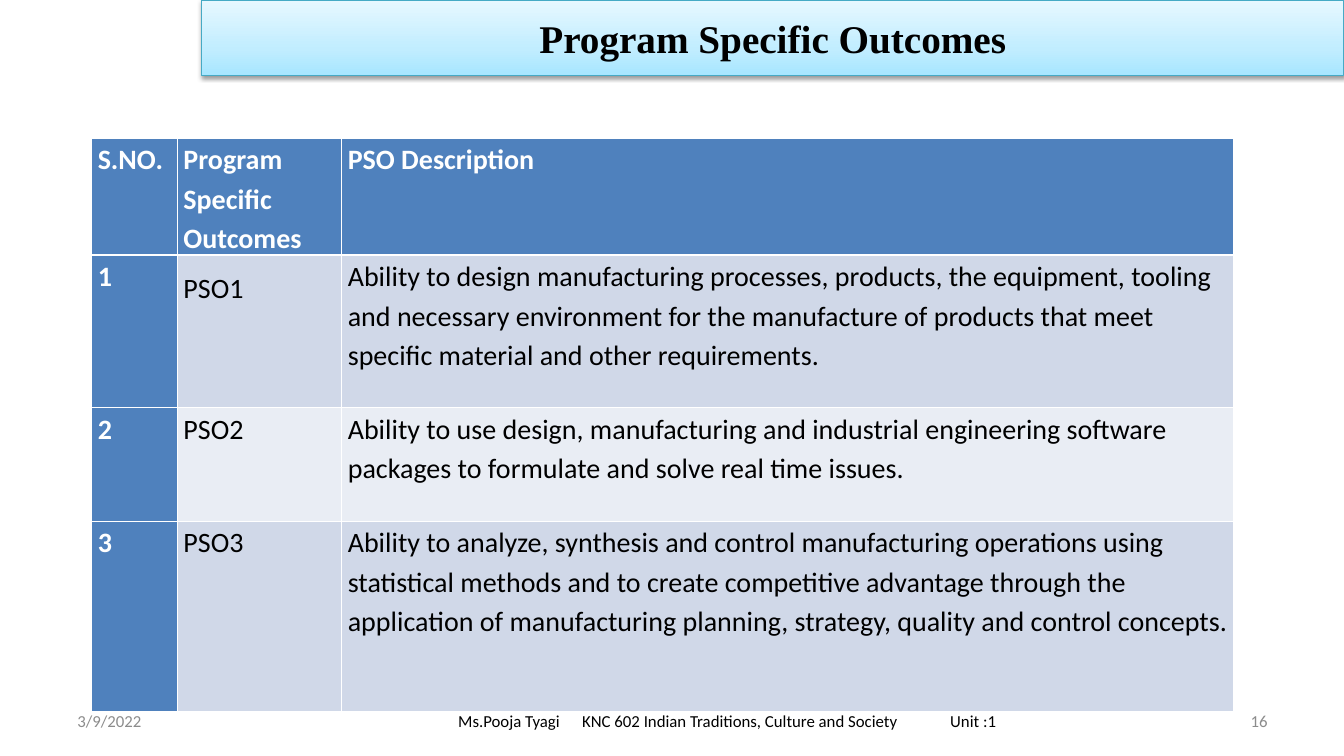
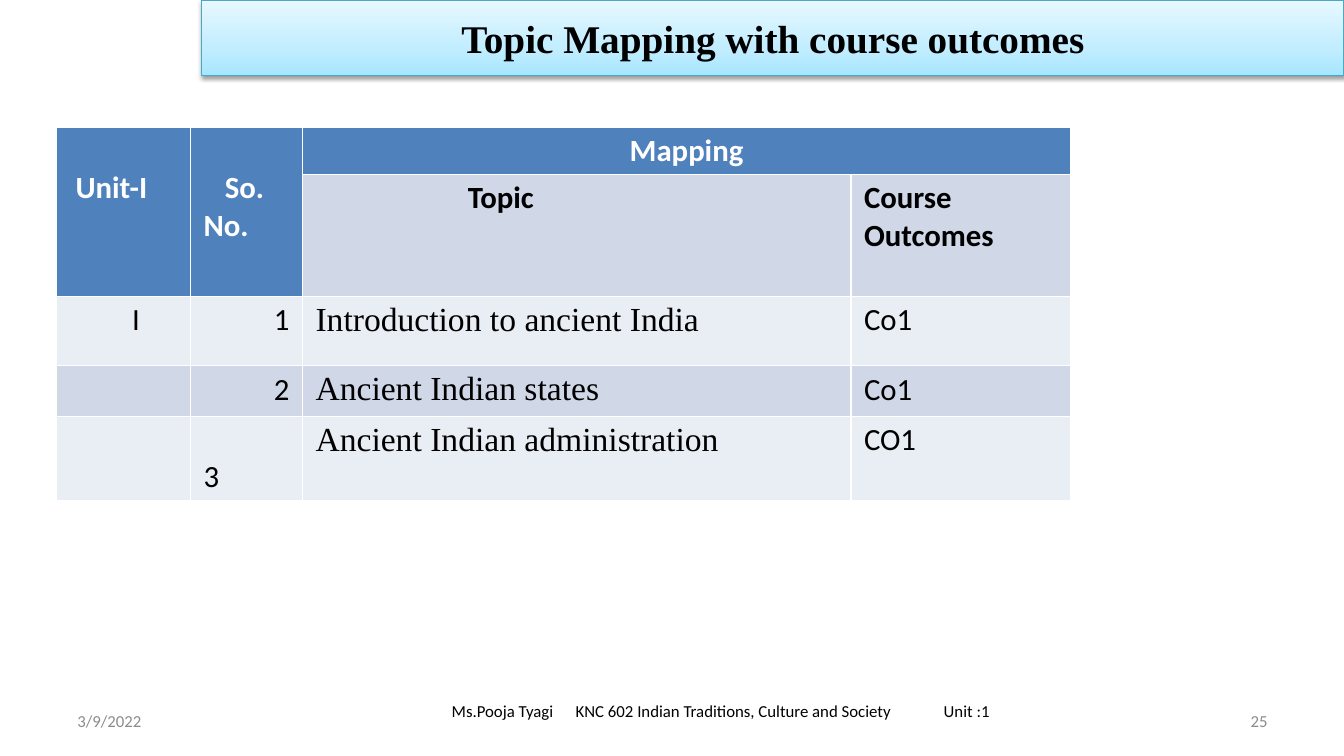
"""Build two course slides: program outcomes and topic mapping."""
from copy import deepcopy

from lxml.etree import SubElement
from pptx import Presentation
from pptx.dml.color import RGBColor
from pptx.enum.shapes import MSO_SHAPE as Shape
from pptx.enum.text import MSO_ANCHOR as Anchor, PP_ALIGN as Align
from pptx.oxml.ns import qn
from pptx.util import Inches, Pt

COLORS = {
    "header": "4F81BD", "band": "D0D8E8", "light": "E9EDF4",
    "white": "FFFFFF", "black": "000000", "gray": "8C8C8C", "edge": "46AAC5",
}
TITLE_GRADIENT = [(0, "A7E6FF"), (0.35, "C1EDFF"), (1, "E7F8FF")]
BODY_FONT, SERIF_FONT = "Calibri", "Times New Roman"

DATE = "3/9/2022"
COURSE = ["Ms.Pooja Tyagi", "KNC 602 Indian Traditions, Culture and Society", "Unit :1"]
COURSE_WIDTH = 5.36
COURSE_TABS = [1.23, 4.88]

OUTCOMES = {
    "title": "Program Specific Outcomes",
    "number": "16",
    "footer": (2.56, 6.95, 9.33, 0.4),
    "at": (0.91, 1.37),
    "columns": [0.85, 1.63, 8.85],
    "heights": [1.16, 1.51, 1.13, 1.89],
    "rows": [
        ["S.NO.", "Program Specific Outcomes", "PSO Description"],
        ["1", "PSO1", "Ability to design manufacturing processes, products, the equipment, "
         "tooling and necessary environment for the manufacture of products that meet "
         "specific material and other requirements."],
        ["2", "PSO2", "Ability to use design, manufacturing and industrial engineering "
         "software packages to formulate and solve real time issues."],
        ["3", "PSO3", "Ability to analyze, synthesis and control manufacturing operations "
         "using statistical methods and to create competitive advantage through the "
         "application of manufacturing planning, strategy, quality and control concepts."],
    ],
}
MAPPING = {
    "title": "Topic Mapping with course outcomes",
    "number": "25",
    "footer": (2.44, 6.75, 9.44, 0.6),
    "at": (0.56, 1.26),
    "columns": [1.33, 1.11, 5.44, 2.18],
    "heights": [0.47, 1.21, 0.69, 0.48, 0.84],
    "rows": [
        ["Unit-I", "So. No.", "Mapping", ""],
        ["", "", "Topic", "Course Outcomes"],
        ["I", "1", "Introduction to ancient India", "Co1"],
        ["", "2", "Ancient Indian states", "Co1"],
        ["", "3", "Ancient Indian administration", "CO1"],
    ],
}
MAPPING_MERGES = [((0, 0), (1, 0)), ((0, 1), (1, 1)), ((0, 2), (0, 3))]
MAPPING_INDENTS = {(0, 0): 0.06, (0, 1): 0.21, (1, 2): 1.51, (2, 0): 0.62}
MAPPING_ALIGNS = {(0, 2): Align.CENTER, (2, 1): Align.RIGHT, (3, 1): Align.RIGHT}
MAPPING_LOWERED = [(0, 0), (0, 1), (4, 1)]
LINE_DROP = 0.37


def color(name):
    return RGBColor.from_string(COLORS.get(name, name))


def style(para, size, ink="black", font=BODY_FONT, bold=False):
    for span in para.runs:
        span.font.size, span.font.name, span.font.bold = Pt(size), font, bold
        span.font.color.rgb = color(ink)


def set_margins(target, left, top, right, bottom):
    target.margin_left, target.margin_top = Inches(left), Inches(top)
    target.margin_right, target.margin_bottom = Inches(right), Inches(bottom)


def add_footer_text(page, at, text, align, ink="gray"):
    box = page.shapes.add_textbox(*map(Inches, at))
    frame = box.text_frame
    frame.word_wrap, frame.vertical_anchor = True, Anchor.MIDDLE
    para = frame.paragraphs[0]
    para.text, para.alignment = text, align
    style(para, 12, ink)
    return frame


def add_course(page, at):
    frame = add_footer_text(page, at, "\t".join(COURSE), Align.LEFT, "black")
    frame.margin_left = Inches((at[2] - COURSE_WIDTH) / 2)
    frame.margin_right = 0
    stops = SubElement(frame.paragraphs[0]._p.get_or_add_pPr(), qn("a:tabLst"))
    for position in COURSE_TABS:
        SubElement(stops, qn("a:tab"), pos=str(Inches(position)), algn="l")


def add_title(page, title):
    band = page.shapes.add_shape(Shape.RECTANGLE, *map(Inches, (2, 0, 11.33, 0.75)))
    band.fill.gradient()
    band.fill.gradient_angle = 90
    properties = band._element.spPr
    stop_list = properties.find(".//" + qn("a:gsLst"))
    stop_list.insert(1, deepcopy(stop_list[0]))
    for stop, (position, tone) in zip(band.fill.gradient_stops, TITLE_GRADIENT):
        stop.position, stop.color.rgb = position, color(tone)
    band.line.color.rgb, band.line.width = color("edge"), Pt(0.75)
    band.shadow.inherit = False
    shadow = SubElement(properties.find(qn("a:effectLst")), qn("a:outerShdw"),
                        blurRad=str(Pt(3.1)), dist=str(Pt(1.6)), dir="5400000", rotWithShape="0")
    tone = SubElement(shadow, qn("a:srgbClr"), val=COLORS["black"])
    SubElement(tone, qn("a:alpha"), val="38000")
    band.text_frame.vertical_anchor = Anchor.MIDDLE
    para = band.text_frame.paragraphs[0]
    para.text, para.alignment = title, Align.CENTER
    style(para, 28, font=SERIF_FONT, bold=True)


def add_page(deck, content):
    page = deck.slides.add_slide(deck.slide_layouts[6])
    add_footer_text(page, (0.67, 6.95, 3.11, 0.4), DATE, Align.LEFT)
    add_course(page, content["footer"])
    add_footer_text(page, (9.56, 6.95, 3.11, 0.4), content["number"], Align.RIGHT)
    add_title(page, content["title"])
    return page


def add_grid(page, content):
    columns, heights = content["columns"], content["heights"]
    size = (sum(columns), sum(heights))
    table = page.shapes.add_table(len(heights), len(columns),
                                  *map(Inches, content["at"] + size)).table
    for column, width in zip(table.columns, columns):
        column.width = Inches(width)
    for row, height in zip(table.rows, heights):
        row.height = Inches(height)
    for r, texts in enumerate(content["rows"]):
        for c, text in enumerate(texts):
            cell = table.cell(r, c)
            if text:
                cell.text_frame.text = text
            cell.fill.solid()
            cell.fill.fore_color.rgb = color("header" if r == 0 else "band" if r % 2 else "light")
    return table


def add_outcomes(deck):
    table = add_grid(add_page(deck, OUTCOMES), OUTCOMES)
    table.first_col = True
    for r in range(len(OUTCOMES["rows"])):
        for c in range(len(OUTCOMES["columns"])):
            cell = table.cell(r, c)
            heading = r == 0 or c == 0
            if heading:
                cell.fill.fore_color.rgb = color("header")
            set_margins(cell, 0.06, 0, 0.06, 0)
            para = cell.text_frame.paragraphs[0]
            para.line_spacing = 1.5 if (r, c) == (1, 1) else 1.15
            para.space_after = Pt(10)
            style(para, 20, "white" if heading else "black", bold=heading)


def add_mapping(deck):
    table = add_grid(add_page(deck, MAPPING), MAPPING)
    for first, last in MAPPING_MERGES:
        table.cell(*first).merge(table.cell(*last))
    for r in range(len(MAPPING["rows"])):
        for c in range(len(MAPPING["columns"])):
            cell, place = table.cell(r, c), (r, c)
            drop = LINE_DROP if place in MAPPING_LOWERED else 0
            set_margins(cell, 0.13, 0.05 + drop, 0.13, 0.05)
            para = cell.text_frame.paragraphs[0]
            para.alignment = MAPPING_ALIGNS.get(place, Align.LEFT)
            if place in MAPPING_INDENTS:
                para._p.get_or_add_pPr().set("indent", str(Inches(MAPPING_INDENTS[place])))
            topic = r > 1 and c == 2
            style(para, 24 if topic else 22, "black" if r else "white",
                  SERIF_FONT if topic else BODY_FONT, r < 2)


def main():
    deck = Presentation()
    deck.slide_width, deck.slide_height = Inches(13.33), Inches(7.5)
    add_outcomes(deck)
    add_mapping(deck)
    deck.save("out.pptx")


if __name__ == "__main__":
    main()
